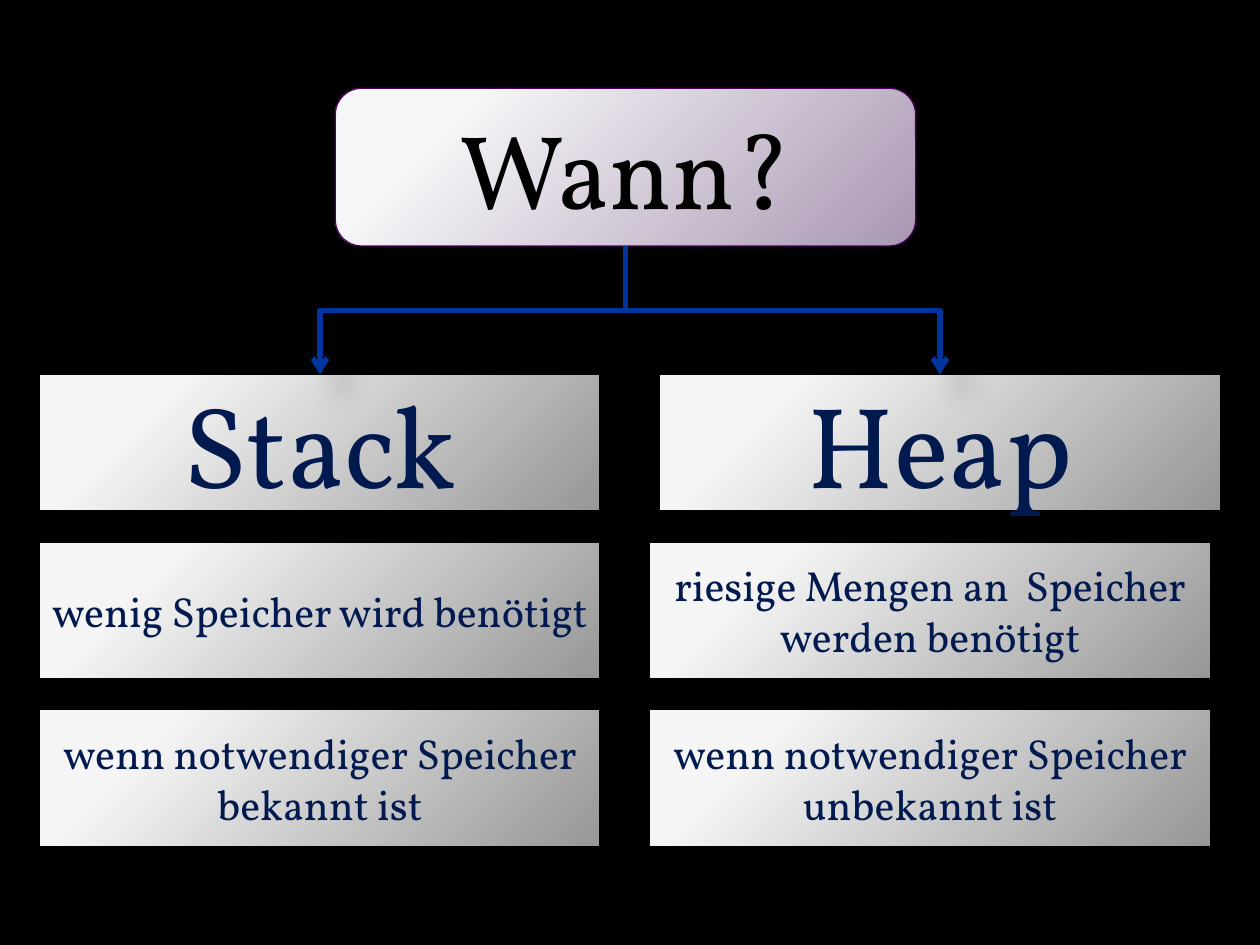
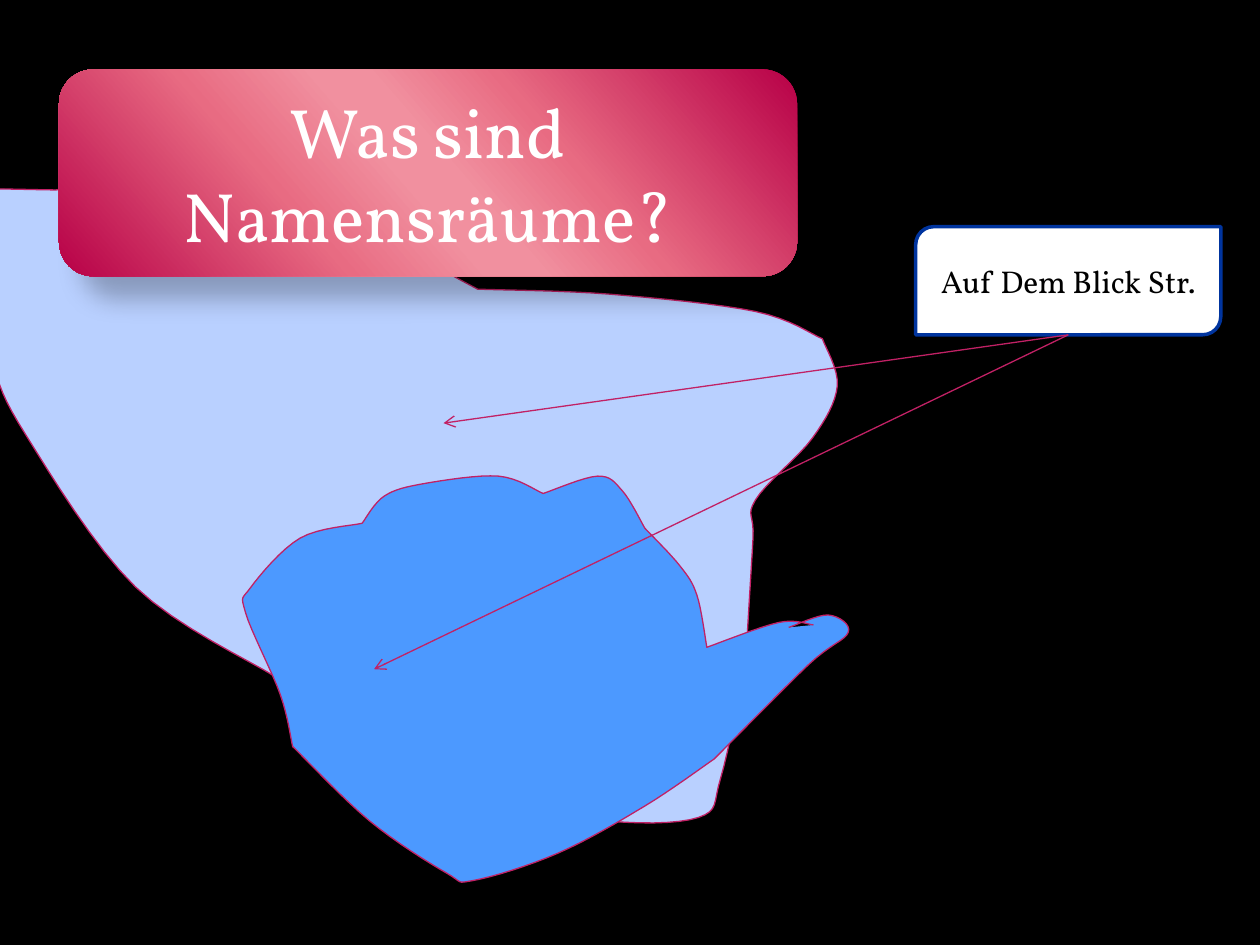
from itertools import chain

from pptx import Presentation
from pptx.dml.color import RGBColor
from pptx.enum.shapes import MSO_CONNECTOR as Connector, MSO_SHAPE as Shape
from pptx.enum.text import MSO_ANCHOR as Anchor, PP_ALIGN as Align
from pptx.oxml import parse_xml
from pptx.oxml.ns import nsdecls, qn
from pptx.util import Cm, Pt

BLACK = RGBColor(0x00, 0x00, 0x00)
WHITE = RGBColor(0xFF, 0xFF, 0xFF)
NAVY = RGBColor(0x00, 0x1A, 0x4F)
BLUE = RGBColor(0x00, 0x34, 0x9E)
PURPLE = RGBColor(0x4C, 0x00, 0x5C)
CRIMSON = RGBColor(0xC1, 0x21, 0x65)
PALE_BLUE = RGBColor(0xB9, 0xD0, 0xFF)
SKY_BLUE = RGBColor(0x4C, 0x99, 0xFF)
LILAC_LIGHT = RGBColor(0xF6, 0xF5, 0xF7)
LILAC_DARK = RGBColor(0xA9, 0x97, 0xB3)
GREY_LIGHT = RGBColor(0xF5, 0xF5, 0xF5)
GREY_DARK = RGBColor(0x97, 0x97, 0x97)
RUBY = RGBColor(0xB7, 0x00, 0x47)
ROSE = RGBColor(0xE8, 0x6B, 0x82)
PINK = RGBColor(0xF1, 0x90, 0x9F)

FONT = "Vollkorn"
OUTLINE = Pt(0.75)

LILAC_STOPS = [(20, LILAC_LIGHT), (100, LILAC_DARK)]
GREY_STOPS = [(20, GREY_LIGHT), (100, GREY_DARK)]
RUBY_STOPS = [(0, RUBY), (33, ROSE), (47, PINK), (53, PINK), (68, ROSE), (100, RUBY)]
RADIAL = ('<a:path path="circle"><a:fillToRect l="-15000" t="-15000" '
          'r="115000" b="115000"/></a:path>')
DIAGONAL = f'<a:lin ang="{139 * 60000}" scaled="0"/>'

# Shadows: opacity in percent, blur and distance in points
SOFT_SHADOW = (35, 10.2, 8)
DEEP_SHADOW = (26, 15, 18)

# Each edge is a smooth curve through a few points, in cm from the area's top left.
# The next edge goes on from the last point, so edges meet in a corner.
OUTER_EDGES = {
    "left": [(2.5, 1.5), (2.8, 3.8), (3.5, 5.4), (5.7, 8.45), (8.5, 10.25)],
    "bottom": [(10.6, 11.1), (12.55, 12.6), (15, 13.15), (17.05, 13.1), (17.5, 12.3),
               (18, 10)],
    "right": [(18.15, 7.5), (18.2, 6.7), (19.35, 5.45), (19.85, 4.4), (19.55, 3.45)],
    "top": [(18.2, 2.9), (15.25, 2.55), (12.6, 2.45)],
    "back": [(9.25, 0.7), (7.15, 0), (4.1, 0.45)],
    "tail": [(1.6, 0.4), (0.1, 0.35), (1.6, 1.6), (2.75, 1.7)],
}
INNER_EDGES = {
    "finger": [(11.45, 3), (10.75, 2.95), (9.3, 3.45)],
    "right": [(9.1, 2.4), (8.75, 1.8), (8.05, 1.05)],
    "small hump": [(7.6, 0.3), (7.1, 0), (6, 0.35)],
    "large hump": [(5.1, 0), (3.6, 0.15), (2.8, 0.4), (2.35, 0.95)],
    "left": [(1.1, 1.25), (0.1, 2.25), (0, 2.75), (0.7, 4.4), (0.95, 5.45)],
    "bottom": [(2.5, 6.95), (4.05, 8), (4.6, 8.15), (6.3, 7.6), (8.05, 6.65), (9.45, 5.7)],
    "fingertip": [(11.35, 3.8), (12.15, 3.15), (11.75, 2.8), (10.95, 3.05)],
}


def set_gradient(shape, stops, direction):
    shape.fill.gradient()
    properties = shape._element.spPr
    stop_xml = "".join(f'<a:gs pos="{place * 1000}"><a:srgbClr val="{colour}"/></a:gs>'
                       for place, colour in stops)
    gradient = parse_xml(f'<a:gradFill {nsdecls("a")} rotWithShape="1">'
                         f'<a:gsLst>{stop_xml}</a:gsLst>{direction}</a:gradFill>')
    properties.replace(properties.find(qn("a:gradFill")), gradient)


def set_shadow(shape, shadow=None):
    """Replace the theme's effects by the given shadow, or by none."""
    properties = shape._element.spPr
    effects = properties.find(qn("a:effectLst"))
    if effects is None:
        effects = parse_xml(f'<a:effectLst {nsdecls("a")}/>')
        properties.append(effects)
    if shadow:
        opacity, blur, distance = shadow
        effects.append(parse_xml(
            f'<a:outerShdw {nsdecls("a")} blurRad="{Pt(blur)}" dist="{Pt(distance)}" '
            f'dir="{45 * 60000}" algn="tl" rotWithShape="0"><a:srgbClr val="{BLACK}">'
            f'<a:alpha val="{opacity * 1000}"/></a:srgbClr></a:outerShdw>'))


def add_box(slide, kind, box, text, size, colour, line=None, line_width=OUTLINE, shadow=None):
    """Add a shape with centred text; box is left, top, width, height in cm."""
    shape = slide.shapes.add_shape(kind, *map(Cm, box))
    if line is None:
        shape.line.fill.background()
    else:
        shape.line.color.rgb = line
        shape.line.width = line_width
    shape.shadow.inherit = False
    set_shadow(shape, shadow)
    frame = shape.text_frame
    frame.word_wrap = True
    frame.vertical_anchor = Anchor.MIDDLE
    frame.margin_left = frame.margin_right = Cm(0.2)
    paragraph = frame.paragraphs[0]
    paragraph.alignment = Align.CENTER
    run = paragraph.add_run()
    run.text = text
    run.font.name = FONT
    run.font.size = Pt(size)
    run.font.color.rgb = colour
    return shape


def add_arrow(slide, kind, start, end, colour, width, shadow=None):
    arrow = slide.shapes.add_connector(kind, *start, *end)
    arrow.line.color.rgb = colour
    arrow.line.width = width
    line = arrow._element.spPr.find(qn("a:ln"))
    line.append(parse_xml(f'<a:tailEnd {nsdecls("a")} type="arrow"/>'))
    set_shadow(arrow, shadow)
    return arrow


def top_middle(shape):
    return shape.left + shape.width // 2, shape.top


def bottom_middle(shape):
    return shape.left + shape.width // 2, shape.top + shape.height


def add_branch(slide, parent, child):
    """Join two boxes by an elbow that leaves downwards and arrives downwards."""
    start, end = bottom_middle(parent), top_middle(child)
    branch = add_arrow(slide, Connector.ELBOW, start, end, BLUE, Pt(3), DEEP_SHADOW)
    to_left = end[0] < start[0]
    drop, reach = end[1] - start[1], abs(end[0] - start[0])
    branch.left = (start[0] + end[0] - drop) // 2
    branch.top = (start[1] + end[1] - reach) // 2
    branch.width, branch.height = drop, reach
    frame = branch._element.spPr.find(qn("a:xfrm"))
    frame.attrib.pop("flipH", None)
    frame.set("rot", str((90 if to_left else 270) * 60000))
    if not to_left:
        frame.set("flipH", "1")


def smooth_curve(points, steps=8):
    """Return points on a Catmull-Rom curve that passes through all given points."""
    padded = [points[0], *points, points[-1]]
    curve = [points[0]]
    for before, start, end, after in zip(padded, padded[1:], padded[2:], padded[3:]):
        for step in range(1, steps + 1):
            t = step / steps
            curve.append(tuple(
                b + t / 2 * (c - a + t * (2 * a - 5 * b + 4 * c - d
                                          + t * (3 * b - a - 3 * c + d)))
                for a, b, c, d in zip(before, start, end, after)))
    return curve


def join_edges(edges):
    """Chain the edges' curves, each one starting where the last one ended."""
    edges = list(edges.values())
    starts = [[]] + [edge[-1:] for edge in edges[:-1]]
    return list(chain.from_iterable(
        smooth_curve(start + edge) for start, edge in zip(starts, edges)))


def add_area(slide, left, top, edges, colour):
    outline = [(Cm(x), Cm(y)) for x, y in join_edges(edges)]
    builder = slide.shapes.build_freeform(*outline[0])
    builder.add_line_segments(outline[1:], close=False)
    area = builder.convert_to_shape(Cm(left), Cm(top))
    area.fill.solid()
    area.fill.fore_color.rgb = colour
    area.line.color.rgb = CRIMSON
    area.line.width = OUTLINE
    area.shadow.inherit = False


def add_black_slide(presentation):
    slide = presentation.slides.add_slide(presentation.slide_layouts[6])
    slide.background.fill.solid()
    slide.background.fill.fore_color.rgb = BLACK
    return slide


def add_grey_box(slide, left, row, text, size):
    first_top, pitch = 7.55, 3.38
    shape = add_box(slide, Shape.RECTANGLE, (left, first_top + row * pitch, 11.3, 2.75),
                    text, size, NAVY, BLACK, shadow=SOFT_SHADOW)
    set_gradient(shape, GREY_STOPS, RADIAL)
    return shape


def build_memory_slide(presentation):
    slide = add_black_slide(presentation)
    question = add_box(slide, Shape.ROUNDED_RECTANGLE, (6.76, 1.78, 11.7, 3.18),
                       "Wann?", 60, BLACK, PURPLE, shadow=SOFT_SHADOW)
    set_gradient(question, LILAC_STOPS, RADIAL)
    columns = [
        ("Stack", 0.8, 0.8,
         ["wenig Speicher wird benötigt", "wenn notwendiger Speicher bekannt ist"]),
        ("Heap", 13.3, 13.1,
         ["riesige Mengen an  Speicher werden benötigt",
          "wenn notwendiger Speicher unbekannt ist"]),
    ]
    heads = [add_grey_box(slide, head_left, 0, name, 66)
             for name, head_left, _, _ in columns]
    for head in heads:
        add_branch(slide, question, head)
    for _, _, left, reasons in columns:
        for row, reason in enumerate(reasons, start=1):
            add_grey_box(slide, left, row, reason, 24)


def build_namespace_slide(presentation):
    slide = add_black_slide(presentation)
    add_area(slide, -2.97, 3.38, OUTER_EDGES, PALE_BLUE)
    add_area(slide, 4.95, 9.6, INNER_EDGES, SKY_BLUE)
    street = add_box(slide, Shape.ROUND_2_DIAG_RECTANGLE, (18.46, 4.57, 6.15, 2.18),
                     "Auf Dem Blick Str.", 18, BLACK, BLUE, Pt(2))
    street.fill.solid()
    street.fill.fore_color.rgb = WHITE
    inner_target, outer_target = (7.54, 13.49), (8.94, 8.53)
    for target in (inner_target, outer_target):
        add_arrow(slide, Connector.STRAIGHT, bottom_middle(street), map(Cm, target),
                  CRIMSON, OUTLINE)
    title = add_box(slide, Shape.ROUNDED_RECTANGLE, (1.19, 1.4, 14.88, 4.17),
                    "Was sind Namensräume?", 40, WHITE, shadow=DEEP_SHADOW)
    set_gradient(title, RUBY_STOPS, DIAGONAL)


def main():
    presentation = Presentation()
    presentation.slide_width = Cm(25.4)
    presentation.slide_height = Cm(19.05)
    build_memory_slide(presentation)
    build_namespace_slide(presentation)
    presentation.save("out.pptx")


if __name__ == "__main__":
    main()
